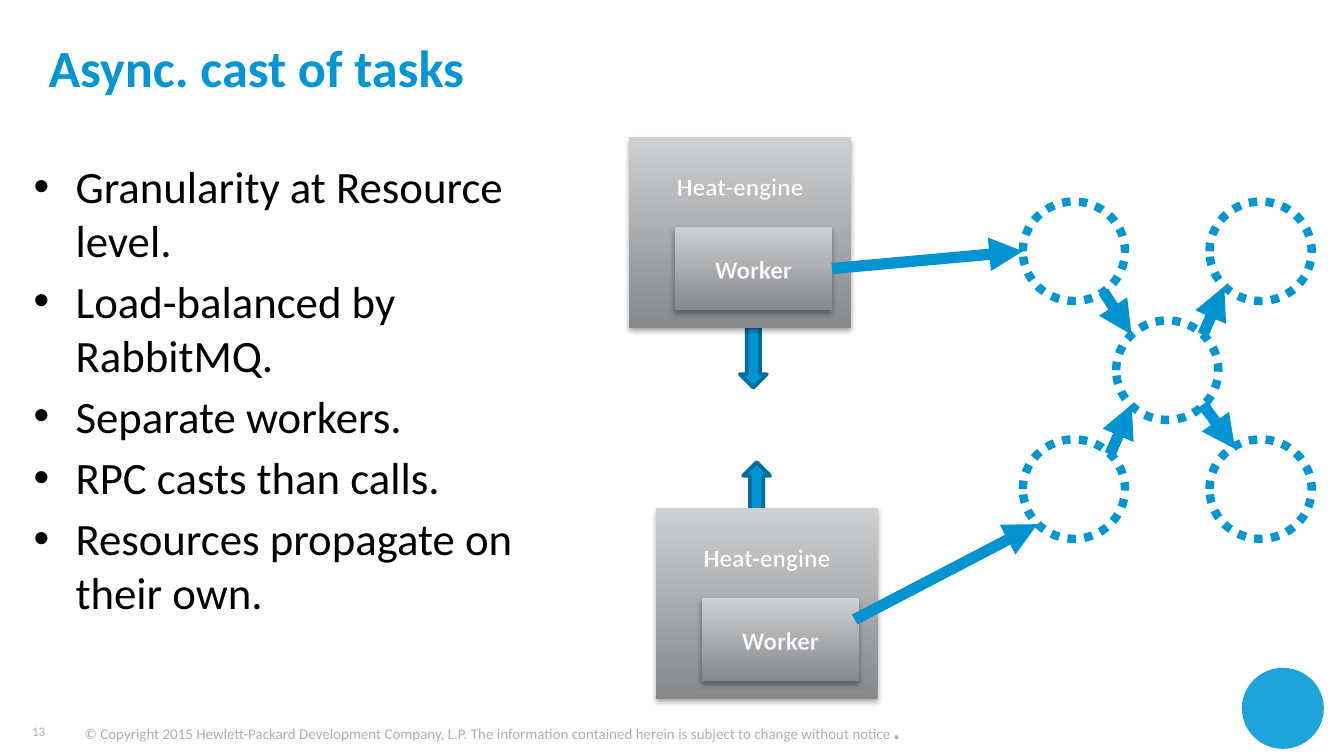
from lxml import etree
from pptx import Presentation
from pptx.dml.color import RGBColor
from pptx.enum.dml import MSO_LINE
from pptx.enum.shapes import MSO_CONNECTOR, MSO_SHAPE
from pptx.enum.text import MSO_ANCHOR as ANCHOR, PP_ALIGN as ALIGN
from pptx.oxml import parse_xml
from pptx.oxml.ns import nsdecls, qn
from pptx.util import Pt

BLUE = RGBColor(0x00, 0x96, 0xD6)
ARROW_BLUE = RGBColor(0x00, 0x93, 0xD1)
DARK_BLUE = RGBColor(0x00, 0x6F, 0x9E)
LOGO_BLUE = RGBColor(0x1F, 0xA3, 0xDB)
FOOTER_GRAY = RGBColor(0xA8, 0xB2, 0xB2)
BOX_DARK = RGBColor(0x86, 0x89, 0x8C)
BOX_LIGHT = RGBColor(0xCD, 0xCF, 0xD1)
WHITE = RGBColor(0xFF, 0xFF, 0xFF)
BLACK = RGBColor(0x00, 0x00, 0x00)

SHADOW = (f'<a:outerShdw {nsdecls("a")} blurRad="{Pt(3.1)}" dist="{Pt(1.8)}" dir="5400000" rotWithShape="0">'
          '<a:srgbClr val="000000"><a:alpha val="35000"/></a:srgbClr></a:outerShdw>')
TEXT_OUTLINE = (f'<a:ln {nsdecls("a")} w="{Pt(0.8)}"><a:solidFill>'
                '<a:srgbClr val="B9B8BB"/></a:solidFill></a:ln>')

prs = Presentation()
prs.slide_width, prs.slide_height = Pt(720), Pt(405)
slide = prs.slides.add_slide(prs.slide_layouts[6])
shapes = slide.shapes


def add_run(paragraph, text, size, color, bold=False):
    run = paragraph.add_run()
    run.text = text
    for key, value in {"name": "Calibri", "size": Pt(size), "bold": bold}.items():
        setattr(run.font, key, value)
    run.font.color.rgb = color
    return run


def add_frame(left, top, width, height, **settings):
    frame = shapes.add_textbox(Pt(left), Pt(top), Pt(width), Pt(height)).text_frame
    for key, value in {"word_wrap": True, **settings}.items():
        setattr(frame, key, value)
    return frame


no_margins = {f"margin_{side}": 0 for side in ("left", "top", "right", "bottom")}

title = add_frame(26, 18.7, 639.4, 33.8, **no_margins)
add_run(title.paragraphs[0], "Async. cast of tasks", 28, BLUE, True)

copyright_line = add_frame(38.2, 374.4, 578.9, 29.5).paragraphs[0]
add_run(copyright_line, "© Copyright 2015 Hewlett-Packard Development Company, L.P. "
        "The information contained herein is subject to change without notice", 8, FOOTER_GRAY)
add_run(copyright_line, ".", 18, FOOTER_GRAY)

page_number = add_frame(10.1, 385.2, 33.1, 13, vertical_anchor=ANCHOR.MIDDLE)
add_run(page_number.paragraphs[0], "13", 7, FOOTER_GRAY)

logo_disc = shapes.add_shape(MSO_SHAPE.OVAL, Pt(665.3), Pt(357.8), Pt(43.9), Pt(43.4))
logo_disc.fill.solid()
logo_disc.fill.fore_color.rgb = LOGO_BLUE
logo_disc.line.fill.background()
logo_disc.shadow.inherit = False

points = [
    "Granularity at Resource level.",
    "Load-balanced by RabbitMQ.",
    "Separate workers.",
    "RPC casts than calls.",
    "Resources propagate on their own.",
]
body = add_frame(18, 85, 299.5, 157.7, **no_margins)
for index, point in enumerate(points):
    paragraph = body.add_paragraph() if index else body.paragraphs[0]
    properties = paragraph._p.get_or_add_pPr()
    properties.set("marL", str(Pt(22.5)))
    properties.set("indent", str(Pt(-22.5)))
    etree.SubElement(properties, qn("a:buFont")).set("typeface", "Arial")
    etree.SubElement(properties, qn("a:buChar")).set("char", "•")
    paragraph.space_after = Pt(4)
    add_run(paragraph, point, 24, BLACK)

for left, top, width, rotation in [(387.4, 184.3, 32.4, 90), (392.4, 253.4, 25.9, 270)]:
    queue_arrow = shapes.add_shape(MSO_SHAPE.RIGHT_ARROW, Pt(left), Pt(top), Pt(width), Pt(14.4))
    queue_arrow.rotation = rotation
    queue_arrow.fill.solid()
    queue_arrow.fill.fore_color.rgb = BLUE
    queue_arrow.line.color.rgb = DARK_BLUE
    queue_arrow.line.width = Pt(2)
    queue_arrow.shadow.inherit = False

for column, row in [(0, 0), (1, 1), (0, 2), (2, 2), (2, 0)]:
    resource = shapes.add_shape(MSO_SHAPE.OVAL, Pt(548 + 50 * column), Pt(108 + 63.7 * row),
                                Pt(54.7), Pt(53.3))
    resource.fill.solid()
    resource.fill.fore_color.rgb = WHITE
    resource.line.color.rgb = BLUE
    resource.line.width = Pt(4.5)
    resource.line.dash_style = MSO_LINE.ROUND_DOT
    resource.shadow.inherit = False

workers = []
for left, top in [(351.4, 272.2), (337, 73.4)]:
    for label, x, y, width, height, anchor, margin_top in [
        ("Heat-engine", left, top, 118.8, 102.2, ANCHOR.TOP, 18),
        ("Worker", left + 24.5, top + 48.2, 84.2, 44.6, ANCHOR.MIDDLE, 3.6),
    ]:
        box = shapes.add_shape(MSO_SHAPE.RECTANGLE, Pt(x), Pt(y), Pt(width), Pt(height))
        box.fill.gradient()
        box.fill.gradient_angle = 90
        for stop, color, position in zip(box.fill.gradient_stops, (BOX_DARK, BOX_LIGHT), (0, 1)):
            stop.color.rgb = color
            stop.position = position
        box.line.fill.background()
        box.shadow.inherit = False
        box._element.spPr.find(qn("a:effectLst")).append(parse_xml(SHADOW))
        box.text_frame.vertical_anchor = anchor
        box.text_frame.margin_top = Pt(margin_top)
        paragraph = box.text_frame.paragraphs[0]
        paragraph.alignment = ALIGN.CENTER
        run = add_run(paragraph, label, 13.5, WHITE, True)
        run.font._element.insert(0, parse_xml(TEXT_OUTLINE))
    workers.append(box)

lower_worker, upper_worker = workers
casts = [
    (594.7, 243.4, 606.2, 216.7, ARROW_BLUE, None),
    (644.4, 216.7, 661.7, 240.5, BLUE, None),
    (644.4, 179.3, 655.9, 153.4, ARROW_BLUE, None),
    (591.1, 156.2, 606.2, 179.3, ARROW_BLUE, None),
    (457.9, 331.9, 555.8, 280.8, ARROW_BLUE, None),
    (445.7, 143.9, 548, 134.6, ARROW_BLUE, upper_worker),
]
for x1, y1, x2, y2, color, source in casts:
    cast = shapes.add_connector(MSO_CONNECTOR.STRAIGHT, Pt(x1), Pt(y1), Pt(x2), Pt(y2))
    if source:
        cast.begin_connect(source, 3)
    cast.line.color.rgb = color
    cast.line.width = Pt(6)
    etree.SubElement(cast.line._get_or_add_ln(), qn("a:tailEnd")).set("type", "triangle")
    etree.SubElement(cast._element.spPr, qn("a:effectLst"))

prs.save("out.pptx")
